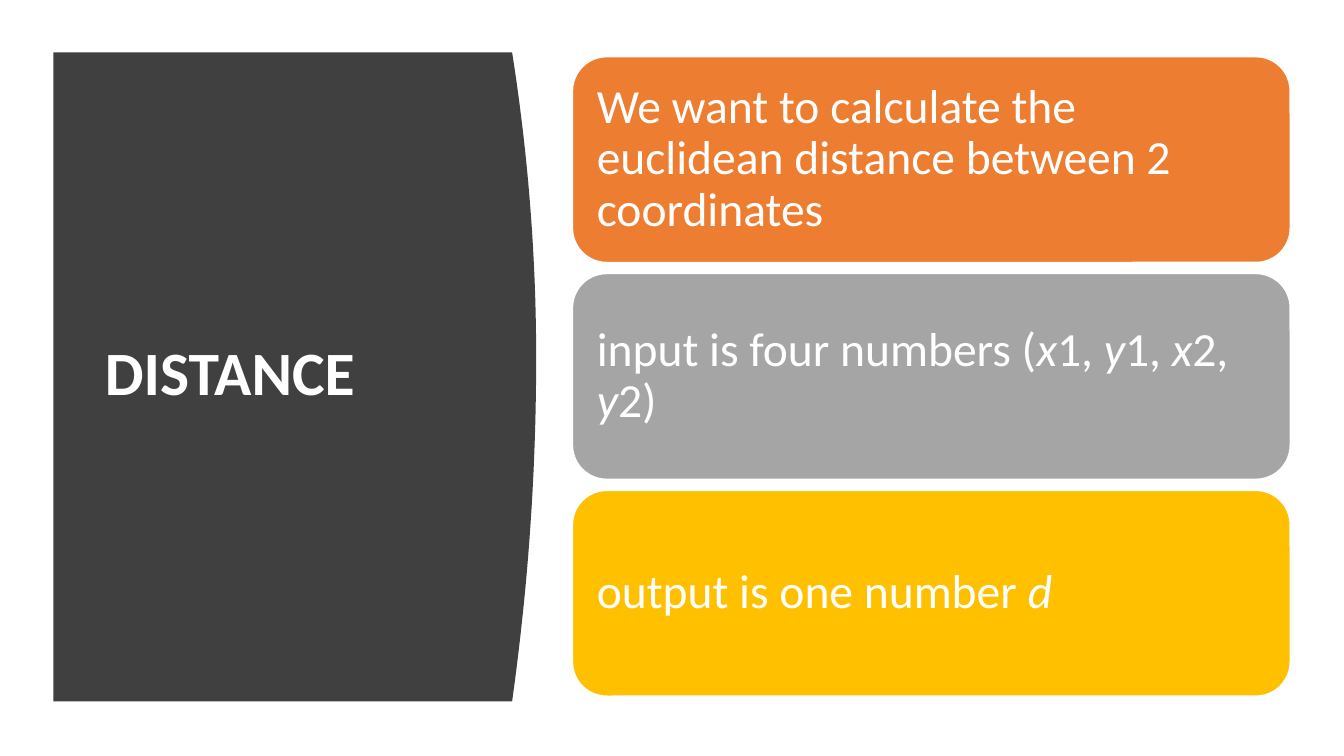
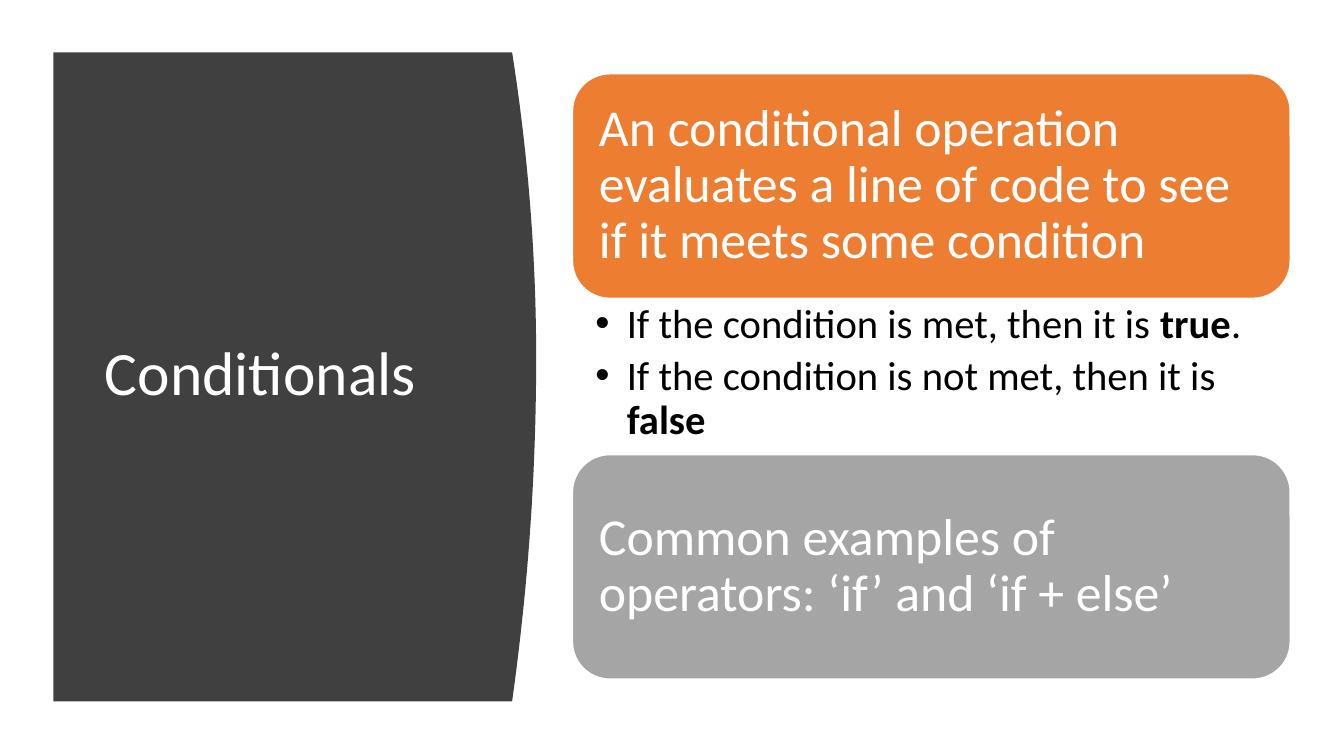
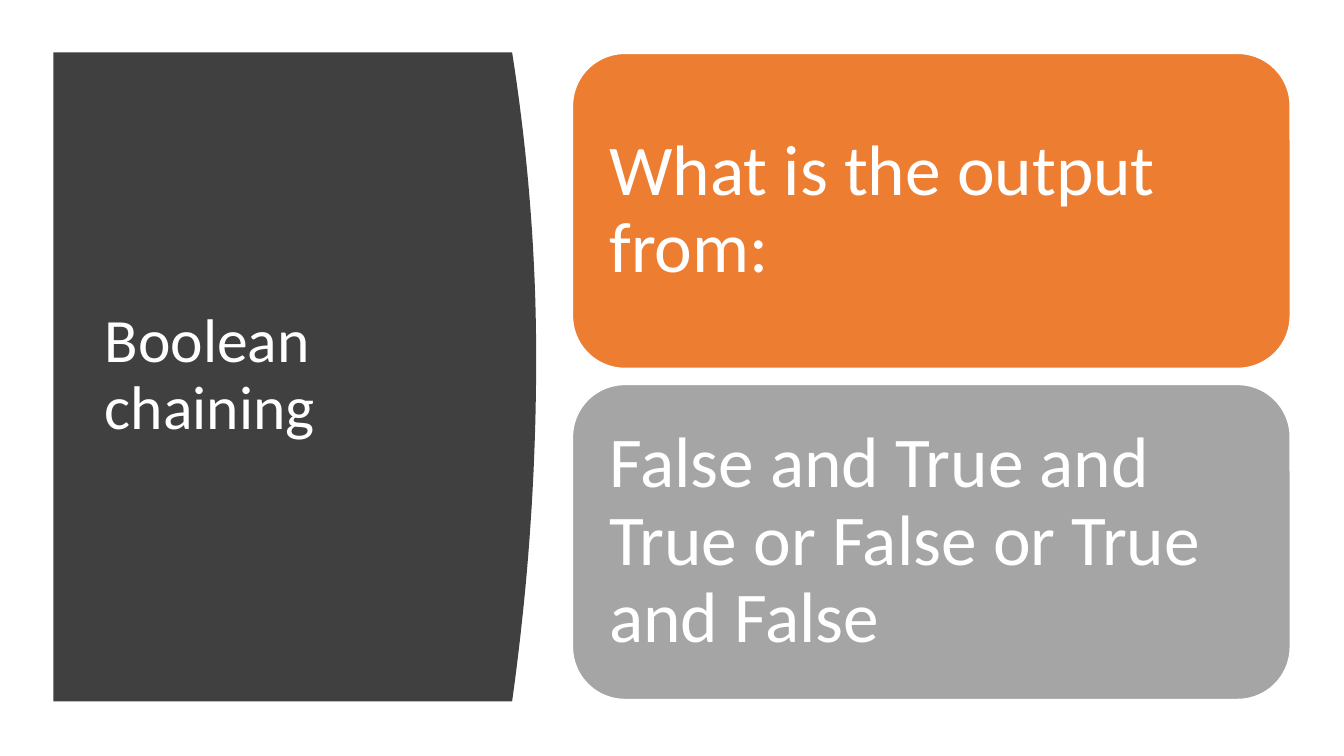
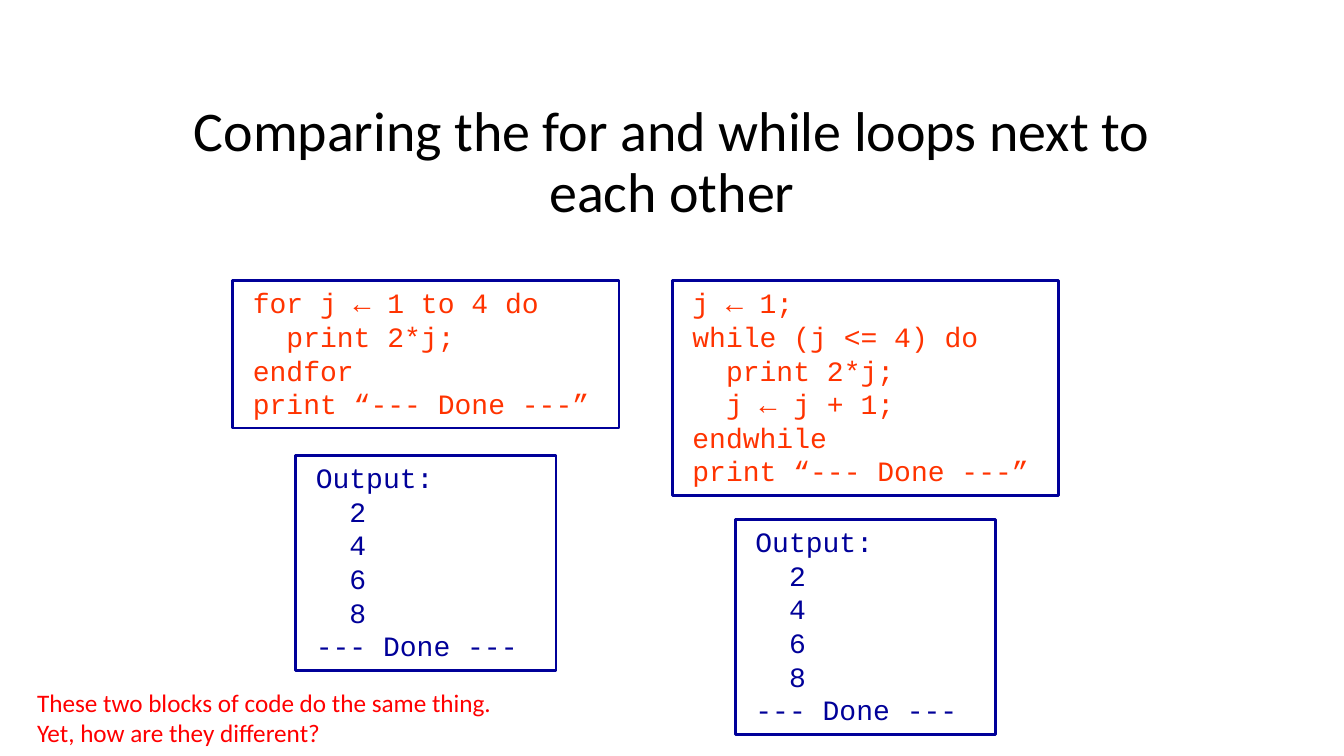
from pptx import Presentation
from pptx.dml.color import RGBColor
from pptx.enum.shapes import MSO_SHAPE
from pptx.enum.text import MSO_ANCHOR, MSO_AUTO_SIZE, PP_ALIGN
from pptx.oxml.ns import qn
from pptx.util import Pt
from lxml import etree

LEFT, CENTER = PP_ALIGN.LEFT, PP_ALIGN.CENTER
TOP, MIDDLE = MSO_ANCHOR.TOP, MSO_ANCHOR.MIDDLE
FIXED, GROW = MSO_AUTO_SIZE.NONE, MSO_AUTO_SIZE.SHAPE_TO_FIT_TEXT
ROUNDED = MSO_SHAPE.ROUNDED_RECTANGLE

COLORS = {
    "white": "FFFFFF", "black": "000000", "panel": "404040",
    "orange": "ED7D31", "gray": "A5A5A5", "gold": "FFC000",
    "navy": "000099", "code": "FF3300", "red": "FF0000",
}
CARD_COLORS = ("orange", "gray", "gold")
BODY_FONT, CODE_FONT = "Calibri", "Courier New"
TITLE_ONLY, TITLE_AND_BODY = 5, 1

PANEL_LEFT, PANEL_TOP, PANEL_BOTTOM = 38.2, 37.4, 501.1
PANEL_CORNER, PANEL_BULGE, PANEL_APEX = 365.8, 17.2, 255.6
CARD_LEFT, CARD_WIDTH, CARD_MIDDLE = 408.9, 512.7, 268.9
SIDE_TITLE = (67.7, 79.9, 269.3, 377.3)


def rgb(name):
    return RGBColor.from_string(COLORS[name])


class Deck:
    def __init__(self):
        self.prs = Presentation()
        self.prs.slide_width, self.prs.slide_height = Pt(960), Pt(540)
        self.s = None

    def add_slide(self, layout=TITLE_ONLY):
        self.s = self.prs.slides.add_slide(self.prs.slide_layouts[layout])

    def place(self, sp, left, top, width, height):
        sp.left, sp.top, sp.width, sp.height = map(Pt, (left, top, width, height))

    def set_text(self, sp, paragraphs, size, color, font=BODY_FONT, align=LEFT,
                 anchor=TOP, spacing=None, after=0, insets=(7.2, 3.6, 7.2, 3.6),
                 auto=FIXED, bullet_indent=None):
        """Each paragraph is a string or a list of (text, style), style being "", "b" or "i"."""
        tf = sp.text_frame
        tf.word_wrap, tf.auto_size, tf.vertical_anchor = True, auto, anchor
        (tf.margin_left, tf.margin_top,
         tf.margin_right, tf.margin_bottom) = map(Pt, insets)
        for i, runs in enumerate(paragraphs):
            p = tf.add_paragraph() if i else tf.paragraphs[0]
            p.alignment, p.line_spacing = align, spacing
            p.space_before, p.space_after = Pt(0), Pt(after)
            if bullet_indent:
                self.bullet(p, bullet_indent)
            for text, style in [(runs, "")] if isinstance(runs, str) else runs:
                r = p.add_run()
                r.text = text
                r.font.name, r.font.size = font, Pt(size)
                r.font.color.rgb = rgb(color)
                r.font.bold, r.font.italic = style == "b", style == "i"

    def bullet(self, p, indent):
        pPr = p._p.get_or_add_pPr()
        pPr.set("marL", str(Pt(indent)))
        pPr.set("indent", str(-Pt(indent)))
        etree.SubElement(pPr, qn("a:buChar")).set("char", "•")

    def title(self, runs, box, size, color, align=LEFT):
        sp = self.s.shapes.title
        self.place(sp, *box)
        self.set_text(sp, [runs], size, color, align=align, anchor=MIDDLE, spacing=0.9)

    def panel(self):
        """Dark side panel whose right edge bulges as a parabola, behind the title."""
        edge, steps = [], 40
        for i in range(steps + 1):
            y = PANEL_TOP + (PANEL_BOTTOM - PANEL_TOP) * i / steps
            end = PANEL_TOP if y < PANEL_APEX else PANEL_BOTTOM
            t = (y - PANEL_APEX) / (end - PANEL_APEX)
            edge.append((Pt(PANEL_CORNER + PANEL_BULGE * (1 - t * t)), Pt(y)))
        builder = self.s.shapes.build_freeform(Pt(PANEL_LEFT), Pt(PANEL_TOP))
        builder.add_line_segments(edge + [(Pt(PANEL_LEFT), Pt(PANEL_BOTTOM))])
        sp = builder.convert_to_shape()
        sp.shadow.inherit = False
        sp.fill.solid()
        sp.fill.fore_color.rgb = rgb("panel")
        sp.line.fill.background()
        self.s.shapes.title.element.addprevious(sp.element)

    def side_title(self, runs):
        self.panel()
        self.title(runs, SIDE_TITLE, 44, "white")

    def cards(self, texts, height, gap, size):
        """Stack cards around the middle line; return the bottom of the first."""
        top = CARD_MIDDLE - (len(texts) * (height + gap) - gap) / 2
        for i, (runs, color) in enumerate(zip(texts, CARD_COLORS)):
            sp = self.s.shapes.add_shape(ROUNDED, 0, 0, 0, 0)
            self.place(sp, CARD_LEFT, top + i * (height + gap), CARD_WIDTH, height)
            sp.shadow.inherit = False
            sp.fill.solid()
            sp.fill.fore_color.rgb = rgb(color)
            sp.line.color.rgb, sp.line.width = rgb("white"), Pt(1)
            self.set_text(sp, [runs], size, "white", anchor=MIDDLE, spacing=0.9,
                          insets=(0.3 * size,) * 4)
        return top + height

    def bullets(self, paragraphs, top, height):
        sp = self.s.placeholders[1]
        self.place(sp, CARD_LEFT, top, CARD_WIDTH, height)
        self.set_text(sp, paragraphs, 29, "black", spacing=0.9, after=5.8,
                      insets=(16.3, 3.6, 20.6, 3.6), bullet_indent=22.5)

    def text_box(self, paragraphs, box, size, color, **style):
        sp = self.s.shapes.add_textbox(0, 0, 0, 0)
        self.place(sp, *box)
        self.set_text(sp, paragraphs, size, color, auto=GROW, **style)
        return sp

    def code_box(self, lines, left, top, width, color):
        height = 24.15 * len(lines) + 8.5
        sp = self.text_box(lines, (left, top, width, height), 20, color,
                           font=CODE_FONT, insets=(14.4, 3.6, 14.4, 3.6))
        sp.line.color.rgb, sp.line.width = rgb("navy"), Pt(2)


def main():
    d = Deck()

    d.add_slide()
    d.side_title([("DISTANCE", "b")])
    d.cards([
        "We want to calculate the euclidean distance between 2 coordinates",
        [("input is four numbers (", ""), ("x", "i"), ("1, ", ""), ("y", "i"),
         ("1, ", ""), ("x", "i"), ("2, ", ""), ("y", "i"), ("2)", "")],
        [("output is one number ", ""), ("d", "i")],
    ], height=147, gap=7.9, size=34)

    d.add_slide(TITLE_AND_BODY)
    d.side_title("Conditionals")
    gap = 111.6
    bottom = d.cards([
        "An conditional operation evaluates a line of code to see if it meets some condition",
        "Common examples of operators: ‘if’ and ‘if + else’",
    ], height=160.4, gap=gap, size=37)
    d.bullets([
        [("If the condition is met, then it is ", ""), ("true", "b"), (".", "")],
        [("If the condition is not met, then it is ", ""), ("false", "b")],
    ], bottom, gap)

    d.add_slide()
    d.side_title("Boolean chaining")
    d.cards([
        "What is the output from:",
        "False and True and True or False or True and False",
    ], height=225, gap=11.5, size=51)

    d.add_slide()
    d.title("Comparing the for and while loops next to each other",
            (92.9, 64.8, 774, 104.4), 40, "black", CENTER)
    output = ["Output:", "  2", "  4", "  6", "  8", "--- Done ---"]
    for_loop = ["for j ← 1 to 4 do", "  print 2*j;", "endfor", "print “--- Done ---”"]
    while_loop = ["j ← 1;", "while (j <= 4) do", "  print 2*j;", "  j ← j + 1;",
                  "endwhile", "print “--- Done ---”"]
    for left, code, output_top in ((166.2, for_loop, 325.6), (480.2, while_loop, 371.2)):
        d.code_box(code, left, 200.6, 276, "code")
        d.code_box(output, left + 45, output_top, 186, "navy")
    d.text_box(["These two blocks of code do the same thing.",
                "Yet, how are they different?"],
               (19.4, 487.4, 460.8, 51.1), 18, "red")

    d.prs.save("out.pptx")


if __name__ == "__main__":
    main()
